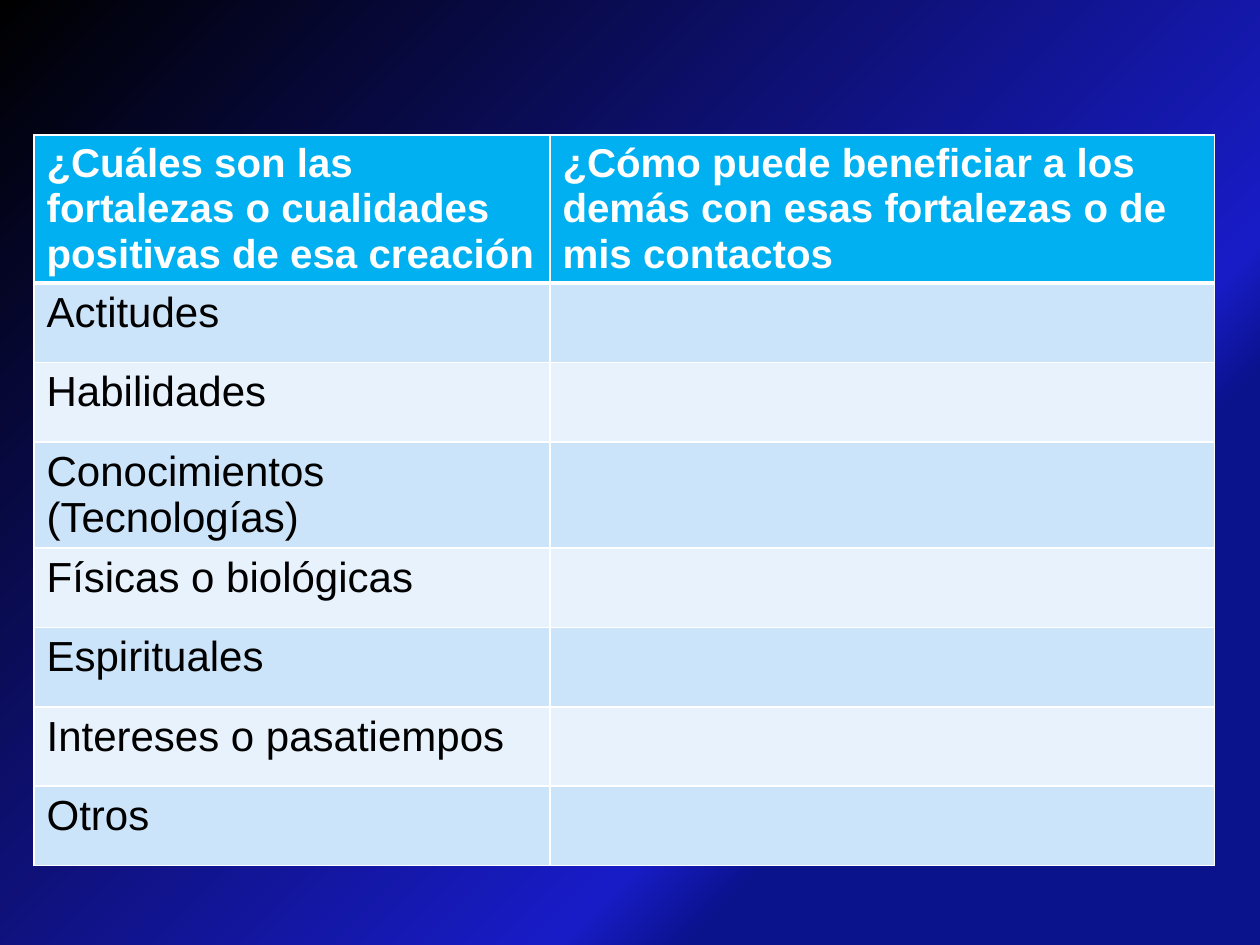
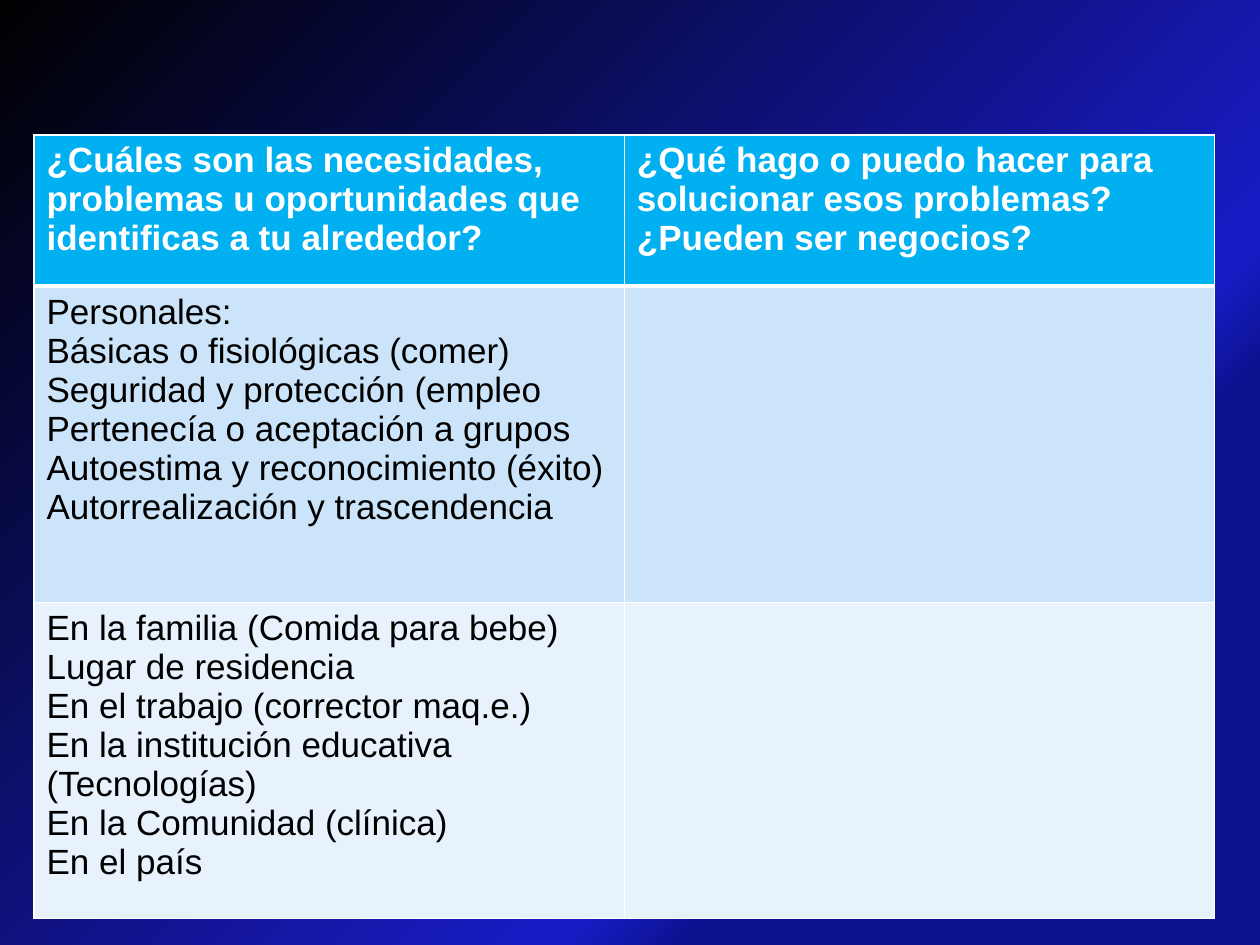
from lxml import etree
from pptx import Presentation
from pptx import util as u
from pptx.dml.color import RGBColor
from pptx.oxml import ns

# Content: each row has a height and the lines of its first column
STRENGTHS = {
    "headings": ["¿Cuáles son las fortalezas o cualidades positivas de esa creación",
                 "¿Cómo puede beneficiar a los demás con esas fortalezas o de mis contactos"],
    "topics": [["Actitudes"], ["Habilidades"], ["Conocimientos", "(Tecnologías)"],
               ["Físicas o biológicas"], ["Espirituales"],
               ["Intereses o pasatiempos"], ["Otros"]],
    "shares": (0.437, 0.563),
    "heights": (1.08, 0.63),
    "sizes": (23, 24),
}
NEEDS = {
    "headings": ["¿Cuáles son las necesidades, problemas u oportunidades que "
                 "identificas a tu alrededor?",
                 "¿Qué hago o puedo hacer para solucionar esos problemas? "
                 "¿Pueden ser negocios?"],
    "topics": [["Personales:", "Básicas o fisiológicas (comer)",
                "Seguridad y protección (empleo", "Pertenecía o aceptación a grupos",
                "Autoestima y reconocimiento (éxito)",
                "Autorrealización y trascendencia"],
               ["En la familia (Comida para bebe)", "Lugar de residencia",
                "En el trabajo (corrector maq.e.)",
                "En la institución educativa (Tecnologías)",
                "En la Comunidad (clínica)", "En el país"]],
    "shares": (0.5, 0.5),
    "heights": (1.2, 2.51),
    "sizes": (20, 20),
}

# Shared look
FONT = "Arial"
WHITE, BLACK, HEADING = "FFFFFF", "000000", "00B0F0"
BANDS = ("CCE4F9", "E7F2FC")
BACKDROP = ((0, BLACK), (68, "181CC7"), (74, "0A128C"))
LEFT, TOP, WIDTH = 0.27, 1.07, 9.37
THIN, THICK = 1, 3


def color(code):
    return RGBColor.from_string(code)


def paint_backdrop(slide):
    fill = slide.background.fill
    fill.gradient()
    fill.gradient_angle = 315
    stops = next(slide.element.iter(ns.qn("a:gsLst")))
    for stop in list(stops):
        stops.remove(stop)
    for percent, code in BACKDROP:
        stop = etree.SubElement(stops, ns.qn("a:gs"), pos=str(percent * 1000))
        etree.SubElement(stop, ns.qn("a:srgbClr"), val=code)


def set_borders(cell, top, bottom):
    props = cell._tc.get_or_add_tcPr()
    for side, points in (("L", THIN), ("R", THIN), ("T", top), ("B", bottom)):
        line = etree.SubElement(props, ns.qn(f"a:ln{side}"), w=str(u.Pt(points)))
        solid = etree.SubElement(line, ns.qn("a:solidFill"))
        etree.SubElement(solid, ns.qn("a:srgbClr"), val=WHITE)


def write(frame, lines, size, ink, bold=False):
    for i, line in enumerate(lines):
        paragraph = frame.paragraphs[0] if i == 0 else frame.add_paragraph()
        run = paragraph.add_run()
        run.text = line
        run.font.name, run.font.size, run.font.bold = FONT, u.Pt(size), bold
        run.font.color.rgb = color(ink)


def add_worksheet(slide, content):
    topics, (heading_height, topic_height) = content["topics"], content["heights"]
    heading_size, topic_size = content["sizes"]
    height = heading_height + topic_height * len(topics)
    grid = slide.shapes.add_table(len(topics) + 1, 2, u.Inches(LEFT), u.Inches(TOP),
                                  u.Inches(WIDTH), u.Inches(height)).table
    for column, share in zip(grid.columns, content["shares"]):
        column.width = u.Inches(WIDTH * share)

    # Headings on top, then topics with an empty answer column
    rows = [[[heading] for heading in content["headings"]]]
    rows += [[topic, []] for topic in topics]
    for r, row in enumerate(rows):
        grid.rows[r].height = u.Inches(topic_height if r else heading_height)
        for c, lines in enumerate(row):
            cell = grid.cell(r, c)
            set_borders(cell, THICK if r == 1 else THIN, THIN if r else THICK)
            cell.fill.solid()
            cell.fill.fore_color.rgb = color(BANDS[(r - 1) % 2] if r else HEADING)
            if r:
                write(cell.text_frame, lines, topic_size, BLACK)
            else:
                write(cell.text_frame, lines, heading_size, WHITE, bold=True)


def main():
    deck = Presentation()
    deck.slide_width, deck.slide_height = u.Inches(10), u.Inches(7.5)
    for content in (STRENGTHS, NEEDS):
        slide = deck.slides.add_slide(deck.slide_layouts[6])
        paint_backdrop(slide)
        add_worksheet(slide, content)
    deck.save("out.pptx")


if __name__ == "__main__":
    main()
